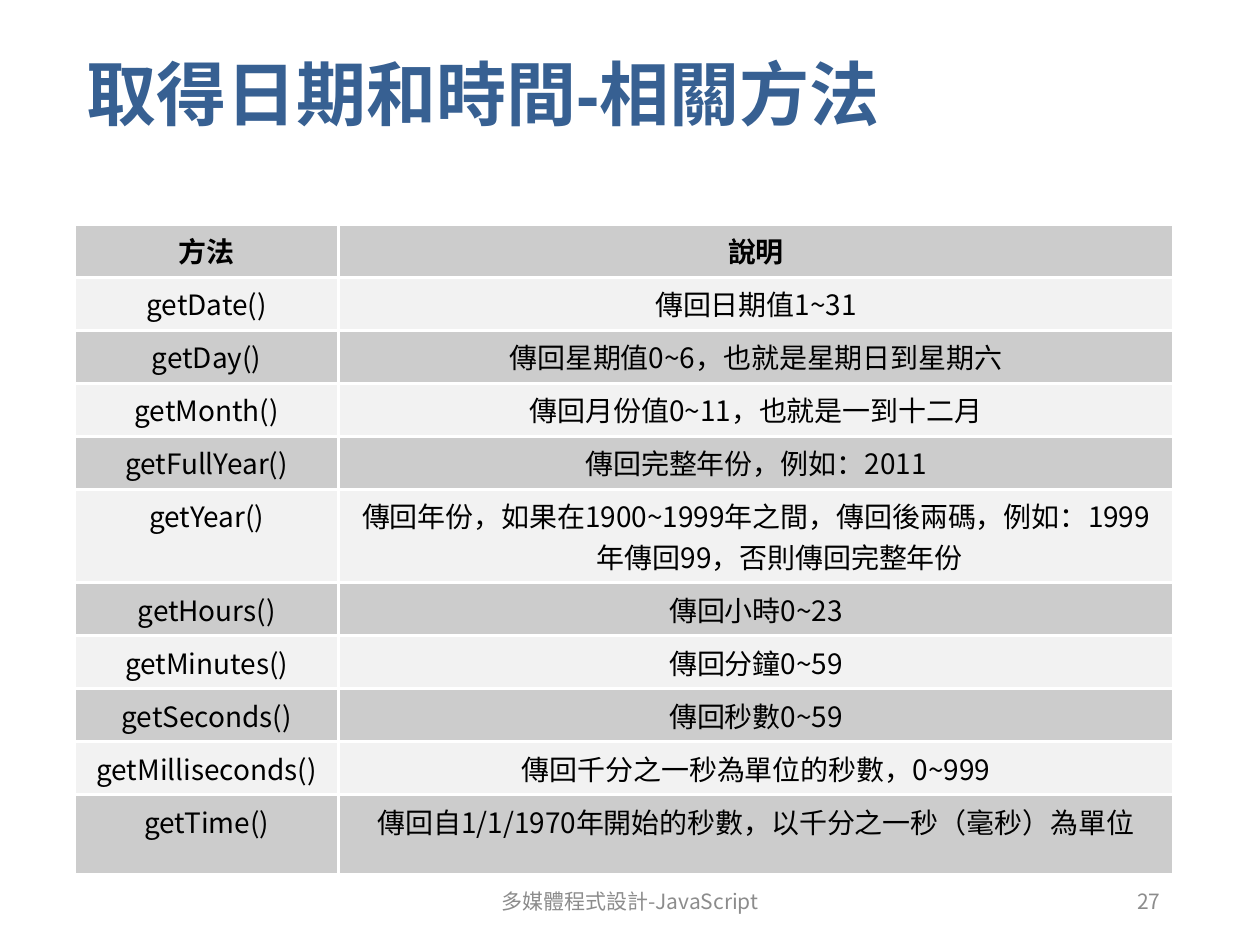
import pptx
import pptx.dml.color
import pptx.enum.text
import pptx.oxml
import pptx.oxml.ns
import pptx.util

RGBColor = pptx.dml.color.RGBColor
Align = pptx.enum.text.PP_ALIGN
Anchor = pptx.enum.text.MSO_ANCHOR

BLUE = RGBColor(0x37, 0x60, 0x92)
BLACK = RGBColor(0, 0, 0)
GREY = RGBColor(0x8C, 0x8C, 0x8C)
WHITE = RGBColor(0xFF, 0xFF, 0xFF)
DARK_BAND = RGBColor(0xCC, 0xCC, 0xCC)
LIGHT_BAND = RGBColor(0xF2, 0xF2, 0xF2)

WIDTH, HEIGHT = 10, 7.5
LEFT, CONTENT_WIDTH = 0.059, 0.872
ROW_HEIGHT = 0.38
TALL_ROWS = {5: 0.64, 9: 0.42, 10: 0.64}

METHODS = [
    ("方法", "說明"),
    ("getDate()", "傳回日期值1~31"),
    ("getDay()", "傳回星期值0~6，也就是星期日到星期六"),
    ("getMonth()", "傳回月份值0~11，也就是一到十二月"),
    ("getFullYear()", "傳回完整年份，例如：2011"),
    ("getYear()", "傳回年份，如果在1900~1999年之間，傳回後兩碼，例如：1999年傳回99，否則傳回完整年份"),
    ("getHours()", "傳回小時0~23"),
    ("getMinutes()", "傳回分鐘0~59"),
    ("getSeconds()", "傳回秒數0~59"),
    ("getMilliseconds()", "傳回千分之一秒為單位的秒數，0~999"),
    ("getTime()", "傳回自1/1/1970年開始的秒數，以千分之一秒（毫秒）為單位"),
]


class SlideBuilder:
    """Holds the style and the current slide; positions are shares of the slide's size."""

    title_font = "Arial"
    table_font = "Noto Sans CJK SC"
    footer_font = "Noto Sans CJK KR"

    def __init__(self, presentation):
        self.slide = presentation.slides.add_slide(presentation.slide_layouts[5])

    def box(self, left, top, width, height):
        return [pptx.util.Inches(round(share * size, 2)) for share, size in
                ((left, WIDTH), (top, HEIGHT), (width, WIDTH), (height, HEIGHT))]

    def set_text(self, frame, text, size, color, font, align, bold=False, east_asian=None):
        frame.text = text
        frame.word_wrap = True
        paragraph = frame.paragraphs[0]
        paragraph.alignment = align
        paragraph.font.size = pptx.util.Pt(size)
        paragraph.font.bold = bold
        paragraph.font.name = font
        paragraph.font.color.rgb = color
        properties = paragraph.runs[0].font._element
        typeface = pptx.oxml.ns.qn("a:ea")
        properties.append(properties.makeelement(typeface, {"typeface": east_asian or font}))
        return paragraph

    def title(self, text, *place):
        shape = self.slide.shapes.title
        shape.left, shape.top, shape.width, shape.height = self.box(*place)
        shape.text_frame.vertical_anchor = Anchor.MIDDLE
        self.set_text(shape.text_frame, text, 40, BLUE, self.title_font, Align.LEFT, True,
                      self.table_font)

    def footer(self, text, align, *place):
        shape = self.slide.shapes.add_textbox(*self.box(*place))
        shape.text_frame.vertical_anchor = Anchor.MIDDLE
        self.set_text(shape.text_frame, text, 12, GREY, self.footer_font, align)

    def border(self, cell):
        properties = cell._tc.get_or_add_tcPr()
        for index, side in enumerate(("lnL", "lnR", "lnT", "lnB")):
            properties.insert(index, pptx.oxml.parse_xml(
                f'<a:{side} {pptx.oxml.ns.nsdecls("a")} w="{pptx.util.Pt(2)}">'
                f'<a:solidFill><a:srgbClr val="{WHITE}"/></a:solidFill></a:{side}>'))

    def table(self, rows, column_shares, *place):
        table = self.slide.shapes.add_table(
            len(rows), len(column_shares), *self.box(*place)).table
        for column, share in zip(table.columns, column_shares):
            column.width = pptx.util.Inches(share * WIDTH)
        for number, texts in enumerate(rows):
            table.rows[number].height = pptx.util.Inches(TALL_ROWS.get(number, ROW_HEIGHT))
            for cell, text in zip(table.rows[number].cells, texts):
                cell.fill.solid()
                cell.fill.fore_color.rgb = LIGHT_BAND if number % 2 else DARK_BAND
                self.border(cell)
                paragraph = self.set_text(cell.text_frame, text, 16, BLACK, self.table_font,
                                          Align.CENTER, number == 0)
                indent = pptx.util.Inches(0.38)
                properties = paragraph._p.get_or_add_pPr()
                properties.set("marL", str(indent))
                properties.set("indent", str(-indent))


def main():
    presentation = pptx.Presentation()
    presentation.slide_width = pptx.util.Inches(WIDTH)
    presentation.slide_height = pptx.util.Inches(HEIGHT)
    builder = SlideBuilder(presentation)
    builder.title("取得日期和時間-相關方法", LEFT, 0.007, CONTENT_WIDTH, 0.183)
    builder.table(METHODS, (0.21, 0.662), LEFT, 0.237, CONTENT_WIDTH, 0.63)
    builder.footer("多媒體程式設計-JavaScript", Align.CENTER, 0.331, 0.927, 0.338, 0.053)
    builder.footer("27", Align.RIGHT, 0.706, 0.927, 0.225, 0.053)
    presentation.save("out.pptx")


if __name__ == "__main__":
    main()
